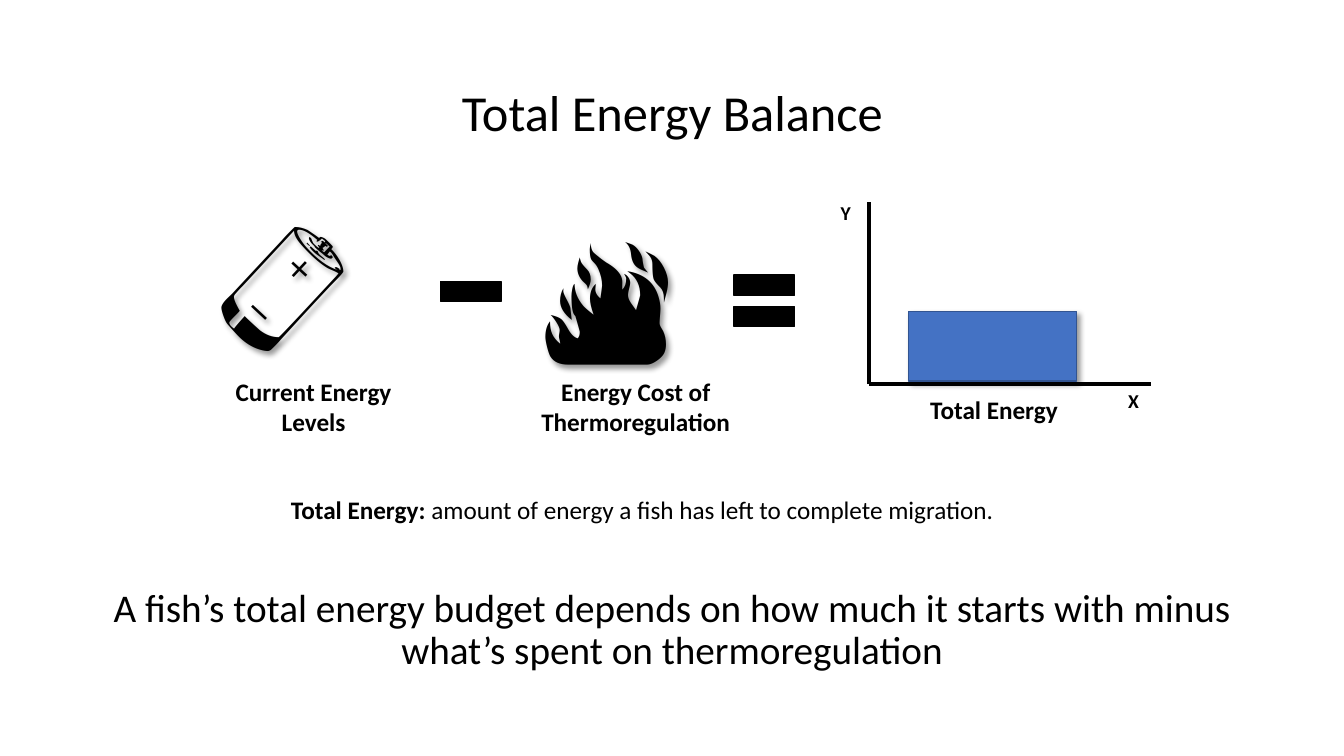
from lxml import etree
from pptx import Presentation
from pptx.dml.color import RGBColor
from pptx.enum.shapes import MSO_CONNECTOR, MSO_SHAPE
from pptx.enum.text import MSO_ANCHOR, MSO_AUTO_SIZE, PP_ALIGN
from pptx.oxml import parse_xml
from pptx.oxml.ns import nsdecls, qn
from pptx.util import Inches, Pt

BLACK = RGBColor(0x00, 0x00, 0x00)
BLUE = RGBColor(0x44, 0x72, 0xC4)
NAVY = RGBColor(0x32, 0x54, 0x91)
FONT = "Calibri"


def write(sp, runs, size=18, bold=False, align=PP_ALIGN.CENTER,
          anchor=MSO_ANCHOR.TOP, spacing=None):
    """Fill a shape with one paragraph, given as text or (text, bold) runs."""
    tf = sp.text_frame
    tf.word_wrap = True
    tf.vertical_anchor = anchor
    p = tf.paragraphs[0]
    p.alignment = align
    p.line_spacing = spacing
    for text, is_bold in [(runs, bold)] if isinstance(runs, str) else runs:
        r = p.add_run()
        r.text = text
        r.font.name = FONT
        r.font.size = Pt(size)
        r.font.bold = is_bold
        r.font.color.rgb = BLACK
    return sp


def add_text(s, x, y, w, h, runs, **fmt):
    """Add a text box that holds one formatted paragraph."""
    sp = s.shapes.add_textbox(Inches(x), Inches(y), Inches(w), Inches(h))
    write(sp, runs, **fmt)
    if fmt.get("anchor") is None:
        sp.text_frame.auto_size = MSO_AUTO_SIZE.SHAPE_TO_FIT_TEXT
    return sp


def add_shadow(sp):
    """Give a shape a soft shadow to the lower right."""
    spPr = sp._element.spPr
    for old in spPr.findall(qn("a:effectLst")):
        spPr.remove(old)
    spPr.append(parse_xml(
        f'<a:effectLst {nsdecls("a")}><a:outerShdw blurRad="50800" dist="38100" '
        'dir="2700000" algn="tl" rotWithShape="0"><a:srgbClr val="000000">'
        '<a:alpha val="40000"/></a:srgbClr></a:outerShdw></a:effectLst>'))


def add_rect(s, x, y, w, h, fill, line):
    """Add a filled rectangle with a thin outline."""
    sp = s.shapes.add_shape(MSO_SHAPE.RECTANGLE, Inches(x), Inches(y),
                            Inches(w), Inches(h))
    sp.shadow.inherit = False
    sp.fill.solid()
    sp.fill.fore_color.rgb = fill
    sp.line.color.rgb = line
    sp.line.width = Pt(1)
    return sp


def add_axis(s, x1, y1, x2, y2):
    """Add a thick black axis line."""
    c = s.shapes.add_connector(MSO_CONNECTOR.STRAIGHT, Inches(x1), Inches(y1),
                               Inches(x2), Inches(y2))
    c.line.color.rgb = BLACK
    c.line.width = Pt(3)
    etree.SubElement(c._element.spPr, qn("a:effectLst"))


def add_title(s, x, y, w, h, text):
    """Place and format the title placeholder."""
    sp = s.shapes.title
    sp.left, sp.top, sp.width, sp.height = map(Inches, (x, y, w, h))
    write(sp, text, size=36, anchor=MSO_ANCHOR.MIDDLE, spacing=0.9)


def add_term(s, x, y, w, h, symbol, caption, caption_box):
    """Add a large symbol and the caption at an offset below it."""
    icon = add_text(s, x, y, w, h, symbol, size=96, align=PP_ALIGN.LEFT)
    add_shadow(icon)
    dx, dy, cw, ch = caption_box
    add_text(s, x + dx, y + dy, cw, ch, caption, bold=True)


def add_operator(s, x, y, w, h, bars):
    """Add a minus sign (one bar) or an equals sign (two bars)."""
    for i in range(bars):
        add_rect(s, x, y + i * 0.31, w, h, BLACK, BLACK)


def add_energy_plot(s, x, y, w, h):
    """Draw the axes, their labels and the total energy bar."""
    base = y + h
    add_axis(s, x, base, x, y)
    add_axis(s, x, base, x + w, base)
    for text, lx, ly in (("X", x + 2.47, base), ("Y", x - 0.38, y - 0.06)):
        add_text(s, lx, ly, 0.65, 0.45, text, size=14, bold=True,
                 align=PP_ALIGN.LEFT)
    add_shadow(add_rect(s, x + 0.39, base - 0.72, 1.67, 0.69, BLUE, NAVY))
    add_text(s, x - 0.36, base + 0.05, 3.2, 0.4, "Total Energy", bold=True)


def add_takeaway(s, x, y, w, h):
    """Add the definition and the closing statement."""
    add_text(s, x + 0.11, y, 10.52, 0.4,
             [("Total Energy: ", True),
              ("amount of energy a fish has left to complete migration.", False)])
    add_text(s, x, y + 0.68, w, h - 0.68,
             "A fish’s total energy budget depends on how much it starts with "
             "minus what’s spent on thermoregulation",
             size=28, anchor=MSO_ANCHOR.MIDDLE, spacing=0.9)


def main():
    """Build the slide and save it."""
    prs = Presentation()
    prs.slide_width, prs.slide_height = Inches(13.33), Inches(7.5)
    s = prs.slides.add_slide(prs.slide_layouts[5])
    add_title(s, 0.92, 0.42, 11.5, 1.45, "Total Energy Balance")
    add_term(s, 2.05, 1.87, 1.93, 1.72, "🔋", "Current Energy Levels",
             (0, 1.81, 2.12, 0.71))
    add_operator(s, 4.37, 2.79, 0.6, 0.2, 1)
    add_term(s, 5.26, 2.02, 1.96, 1.72, "🔥", "Energy Cost of Thermoregulation",
             (-0.52, 1.66, 3.13, 0.71))
    add_operator(s, 7.28, 2.73, 0.6, 0.2, 2)
    add_energy_plot(s, 8.62, 2, 2.8, 1.81)
    add_takeaway(s, 1, 4.85, 11.33, 2.13)
    prs.save("out.pptx")


if __name__ == "__main__":
    main()
